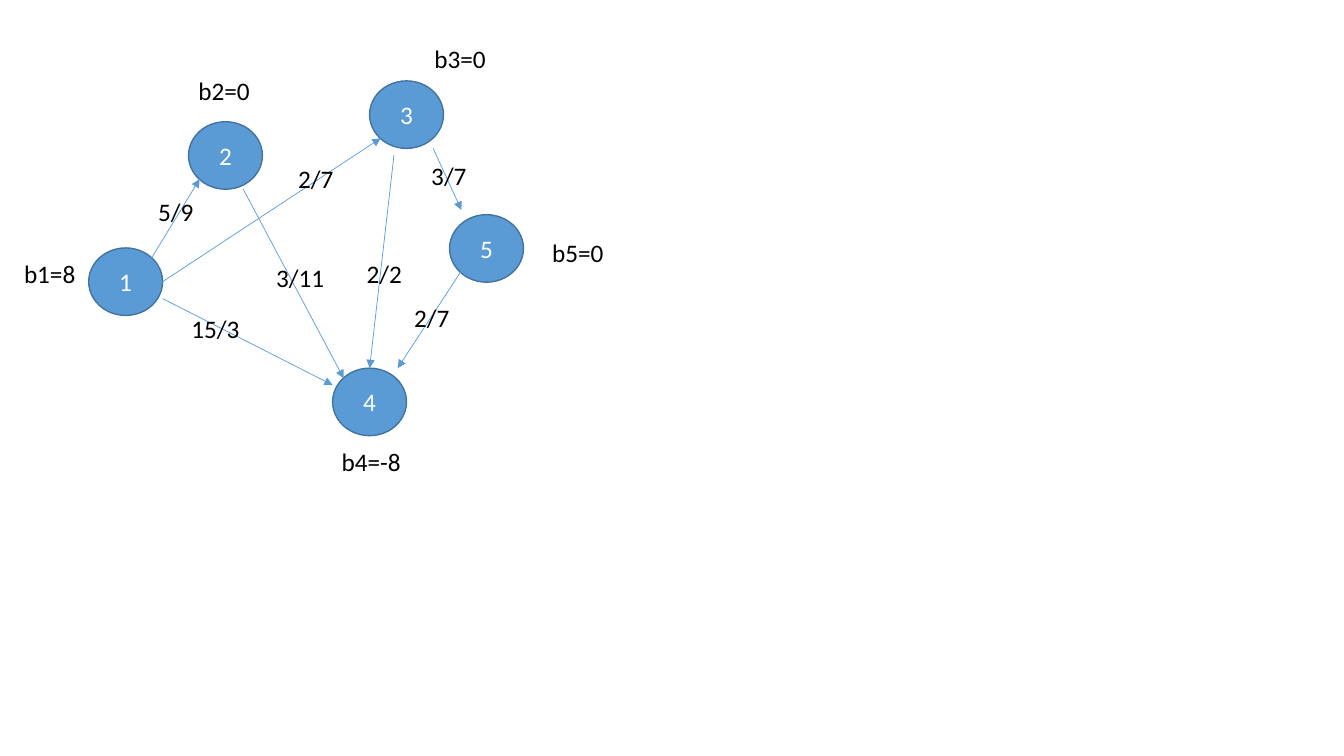
from dataclasses import dataclass
from lxml import etree
from pptx import Presentation, util as u
from pptx.dml.color import RGBColor
from pptx.enum import shapes, text
from pptx.oxml.ns import qn

NODES = {
    "1": (6.6, 32.8),
    "2": (14.03, 16.1),
    "4": (24.75, 48.7),
    "5": (33.45, 28.4),
    "3": (27.5, 10.7),
}
NW, NE, SW = (0.15, 0.15), (0.85, 0.15), (0.15, 0.85)
N, E = (0.5, 0), (1, 0.5)
EDGES = [
    ("1", NE, "2", SW),
    ("1", E, "3", SW),
    ("1", (1, 0.75), "4", (0, 0.25)),
    ("2", (0.74, 1), "4", NW),
    ("3", (0.33, 1.1), "4", N),
    ("3", (0.86, 1), "5", (0.16, -0.07)),
    ("5", SW, "4", (0.88, 0)),
]
LABELS = [
    ("5/9", 11.03, 25.3, 4.2),
    ("2/7", 21.45, 20.9, 4.2),
    ("15/3", 13.5, 40.8, 5.5),
    ("3/11", 19.8, 34.1, 5.1),
    ("2/2", 26.55, 33.5, 4.2),
    ("3/7", 31.35, 20.5, 4.2),
    ("2/7", 30.08, 39.3, 4.2),
    ("b1=8", 1.05, 33.5, 5.4),
    ("b2=0", 14.03, 9.3, 5.4),
    ("b3=0", 31.58, 5.07, 5.4),
    ("b4=-8", 24.68, 58.4, 5.9),
    ("b5=0", 40.35, 30.8, 5.4),
]
NODE_W, NODE_H, LABEL_H = 5.5, 8.93, 5.33


@dataclass(frozen=True)
class Theme:
    font: str = "Calibri"
    size: float = 18
    node: str = "5B9BD5"
    outline: str = "43739E"
    node_text: str = "FFFFFF"
    label: str = "000000"
    outline_width: float = 1
    edge_width: float = 0.5


THEME = Theme()
prs = Presentation()
prs.slide_width, prs.slide_height = u.Inches(13.33), u.Inches(7.5)
s = prs.slides.add_slide(prs.slide_layouts[6])


def place(x, y):
    return int(prs.slide_width * x / 100), int(prs.slide_height * y / 100)


def write(sp, words, color):
    p = sp.text_frame.paragraphs[0]
    r = p.add_run()
    r.text = words
    r.font.name = THEME.font
    r.font.size = u.Pt(THEME.size)
    r.font.color.rgb = RGBColor.from_string(color)
    return p


def style_line(line, color, width):
    line.color.rgb = RGBColor.from_string(color)
    line.width = u.Pt(width)


def add_node(name, x, y):
    sp = s.shapes.add_shape(shapes.MSO_SHAPE.OVAL, *place(x, y), *place(NODE_W, NODE_H))
    sp.shadow.inherit = False
    sp.fill.solid()
    sp.fill.fore_color.rgb = RGBColor.from_string(THEME.node)
    style_line(sp.line, THEME.outline, THEME.outline_width)
    sp.text_frame.vertical_anchor = text.MSO_ANCHOR.MIDDLE
    write(sp, name, THEME.node_text).alignment = text.PP_ALIGN.CENTER


def port(name, share):
    x, y = NODES[name]
    return place(x + NODE_W * share[0], y + NODE_H * share[1])


def add_edge(start, start_port, end, end_port):
    sp = s.shapes.add_connector(
        shapes.MSO_CONNECTOR.STRAIGHT, *port(start, start_port), *port(end, end_port)
    )
    style_line(sp.line, THEME.node, THEME.edge_width)
    etree.SubElement(sp.line._get_or_add_ln(), qn("a:tailEnd"), type="triangle")
    etree.SubElement(sp._element.spPr, qn("a:effectLst"))


def add_label(words, x, y, width):
    sp = s.shapes.add_textbox(*place(x, y), *place(width, LABEL_H))
    tf = sp.text_frame
    tf.word_wrap = False
    tf.auto_size = text.MSO_AUTO_SIZE.SHAPE_TO_FIT_TEXT
    write(sp, words, THEME.label)


for name, corner in NODES.items():
    add_node(name, *corner)
for edge in EDGES:
    add_edge(*edge)
for label in LABELS:
    add_label(*label)

prs.save("out.pptx")
